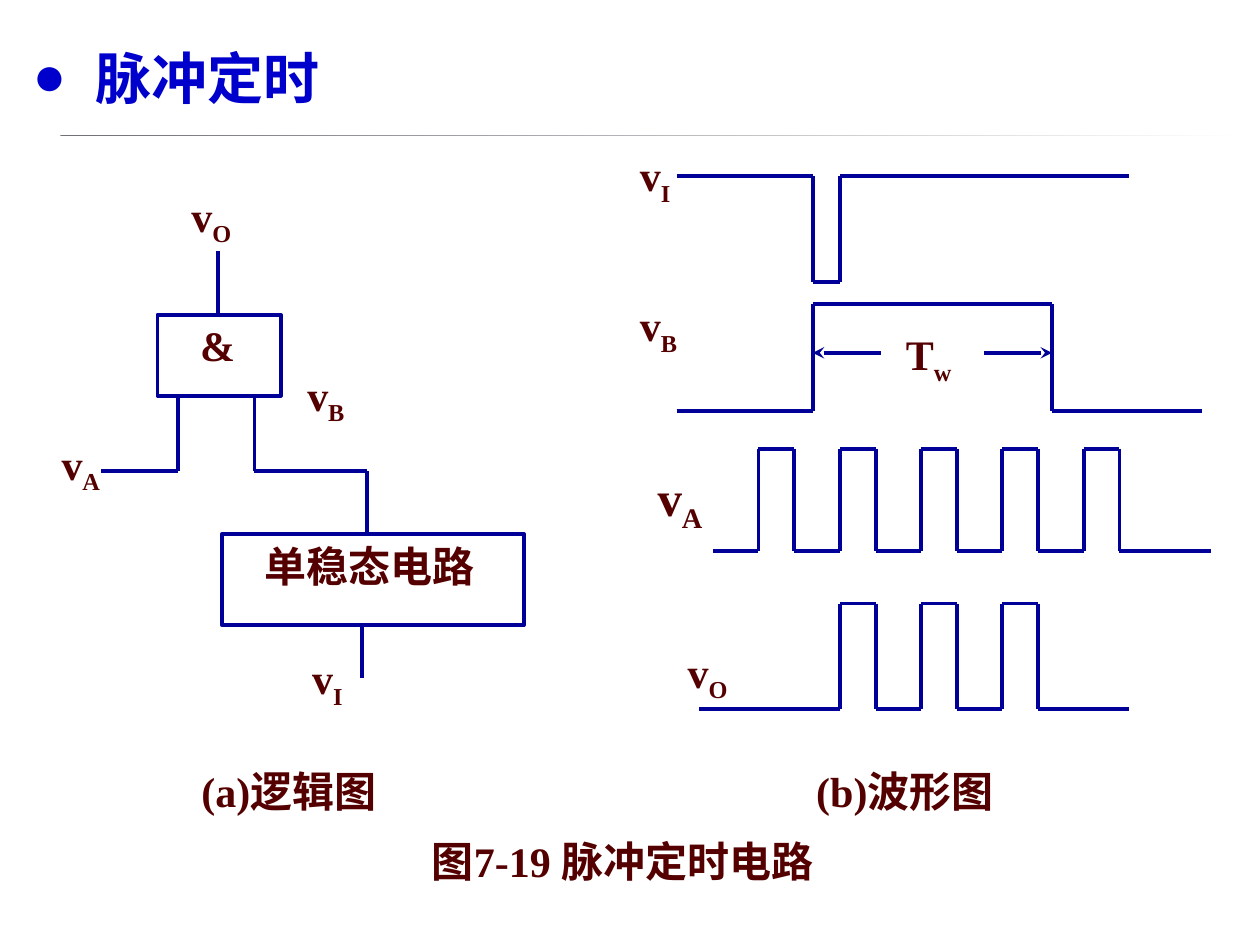
from dataclasses import dataclass
from itertools import pairwise

from lxml import etree
from pptx import Presentation
from pptx import util as u
from pptx.dml.color import RGBColor
from pptx.enum import shapes, text
from pptx.oxml.ns import qn

TITLE_BLUE = RGBColor(0x00, 0x00, 0xCC)
LINE_BLUE = RGBColor(0x00, 0x00, 0x99)
TEXT_BROWN = RGBColor(0x54, 0x00, 0x00)
RULE_GREY = RGBColor(0x70, 0x70, 0x78)
WHITE = RGBColor(0xFF, 0xFF, 0xFF)
LATIN, CHINESE = "Times New Roman", "Noto Sans CJK SC"

WIDTH, HEIGHT = u.Inches(10), u.Inches(7.5)
COLUMN, ROW = WIDTH / 100, HEIGHT / 75

Point = tuple[float, float]


@dataclass(frozen=True)
class Label:
    """Left, top, width and height count grid columns and rows."""
    left: float
    top: float
    width: float
    height: float
    words: str
    subscript: str = ""
    size: int = 24


@dataclass(frozen=True)
class PulseTrain:
    start: float
    first: int
    count: int
    end: float
    high: float
    low: float


CLOCK_START, CLOCK_PERIOD, CLOCK_WIDTH = 60.2, 6.45, 2.85
RISE, FALL = 64.5, 83.5

GATE_BOX = (12.5, 25, 9.8, 6.4)
MONOSTABLE_BOX = (17.6, 42.4, 24, 7.2)

WIRES: list[list[Point]] = [
    [(17.3, 25), (17.3, 19.9)],
    [(14.1, 31.3), (14.1, 37.4), (8, 37.4)],
    [(20.2, 31.3), (20.2, 37.4), (29.1, 37.4), (29.1, 42.4)],
    [(28.7, 49.6), (28.7, 53.8)],
]
WAVES: list[list[Point]] = [
    [(53.7, 14), (RISE, 14), (RISE, 22.4), (66.7, 22.4), (66.7, 14), (89.6, 14)],
    [(53.7, 32.6), (RISE, 32.6), (RISE, 24.1), (FALL, 24.1), (FALL, 32.6), (95.4, 32.6)],
]
TRAINS = [
    PulseTrain(56.6, 0, 5, 96.1, 35.6, 43.7),
    PulseTrain(55.5, 1, 3, 89.6, 47.9, 56.3),
]
WIDTH_ARROWS: list[list[Point]] = [
    [(RISE, 28), (RISE + 5.4, 28)],
    [(FALL, 28), (FALL - 5.4, 28)],
]
LABELS = [
    Label(3.9, 34.3, 13.4, 10.2, "v", "A"),
    Label(23.4, 28.8, 8.9, 6.4, "v", "B"),
    Label(14.2, 14.6, 13.4, 10.2, "v", "O"),
    Label(23.8, 51.3, 13.4, 10.2, "v", "I"),
    Label(14.9, 24.9, 8.9, 6.4, "&"),
    Label(53.6, 50.8, 11.8, 10.2, "v", "O"),
    Label(49.8, 11.4, 11.8, 10.2, "v", "I"),
    Label(49.8, 23.3, 11.8, 10.2, "v", "B"),
    Label(51.2, 36.6, 11.8, 10.2, "v", "A", 28),
    Label(70.9, 25.6, 11.8, 10.2, "T", "w"),
    Label(15, 60.3, 23.1, 5.5, "(a)逻辑图"),
    Label(63.8, 60.3, 19.4, 5.5, "(b)波形图"),
    Label(33.3, 65.8, 39.1, 5.5, "图7-19 脉冲定时电路"),
]


def place(left: float, top: float, width: float, height: float) -> tuple[int, ...]:
    """Turn grid columns and rows into slide lengths."""
    return (round(left * COLUMN), round(top * ROW),
            round(width * COLUMN), round(height * ROW))


def add_span(para, words: str, size: float, color: RGBColor, latin: str = LATIN):
    span = para.add_run()
    span.text = words
    span.font.size = u.Pt(size)
    span.font.bold = True
    span.font.name = latin
    span.font.color.rgb = color
    etree.SubElement(span.font._element, qn("a:ea"), typeface=CHINESE)
    return span


def add_title(page, words: str) -> None:
    title = page.shapes.title
    title.left, title.top, title.width, title.height = place(1.6, 2.1, 90, 6.9)
    frame = title.text_frame
    frame.vertical_anchor = text.MSO_ANCHOR.MIDDLE
    frame.auto_size = text.MSO_AUTO_SIZE.NONE
    para = frame.paragraphs[0]
    para.alignment = text.PP_ALIGN.LEFT
    para.line_spacing = 1.2
    para.space_before, para.space_after = u.Pt(6), u.Pt(3)
    add_span(para, words, 32, TITLE_BLUE, CHINESE)
    settings = para._element.get_or_add_pPr()
    settings.set("marL", str(u.Inches(0.5)))
    settings.set("indent", str(-u.Inches(0.5)))
    etree.SubElement(settings, qn("a:buFont"), typeface=LATIN)
    etree.SubElement(settings, qn("a:buChar"), char="●")


def add_title_rule(page) -> None:
    rule = page.shapes.add_shape(shapes.MSO_SHAPE.RECTANGLE, *place(4.8, 10.7, 94.1, 0.08))
    rule.shadow.inherit = False
    rule.line.fill.background()
    rule.fill.gradient()
    rule.fill.gradient_angle = 0
    for stop, color in zip(rule.fill.gradient_stops, (RULE_GREY, WHITE)):
        stop.color.rgb = color


def add_block(page, area: tuple[float, ...]):
    block = page.shapes.add_shape(shapes.MSO_SHAPE.RECTANGLE, *place(*area))
    block.shadow.inherit = False
    block.fill.background()
    block.line.color.rgb = LINE_BLUE
    block.line.width = u.Pt(2.25)
    return block


def add_trace(page, corners: list[Point], arrow: bool = False) -> None:
    """Join the corners by straight lines, with an arrowhead at each start on request."""
    for start, end in pairwise(corners):
        line = page.shapes.add_connector(
            shapes.MSO_CONNECTOR.STRAIGHT, *place(*start, *end))
        line.line.color.rgb = LINE_BLUE
        line.line.width = u.Pt(2.25)
        properties = line._element.spPr
        if arrow:
            etree.SubElement(properties.find(qn("a:ln")), qn("a:headEnd"), type="stealth")
        etree.SubElement(properties, qn("a:effectLst"))


def train_corners(train: PulseTrain) -> list[Point]:
    corners = [(train.start, train.low)]
    for pulse in range(train.first, train.first + train.count):
        rise = CLOCK_START + pulse * CLOCK_PERIOD
        fall = rise + CLOCK_WIDTH
        corners += [(rise, train.low), (rise, train.high),
                    (fall, train.high), (fall, train.low)]
    return corners + [(train.end, train.low)]


def add_label(page, label: Label) -> None:
    box = page.shapes.add_textbox(*place(label.left, label.top, label.width, label.height))
    box.text_frame.word_wrap = True
    para = box.text_frame.paragraphs[0]
    para.alignment = text.PP_ALIGN.JUSTIFY
    add_span(para, label.words, label.size, TEXT_BROWN)
    if label.subscript:
        span = add_span(para, label.subscript, label.size, TEXT_BROWN)
        span.font._element.set("baseline", "-25000")


def main() -> None:
    deck = Presentation()
    deck.slide_width, deck.slide_height = WIDTH, HEIGHT
    page = deck.slides.add_slide(deck.slide_layouts.get_by_name("Title Only"))
    add_title(page, "脉冲定时")
    add_title_rule(page)

    add_block(page, GATE_BOX)
    frame = add_block(page, MONOSTABLE_BOX).text_frame
    frame.vertical_anchor = text.MSO_ANCHOR.TOP
    frame.margin_left = u.Inches(0.34)
    para = frame.paragraphs[0]
    para.alignment = text.PP_ALIGN.JUSTIFY
    add_span(para, "单稳态电路", 24, TEXT_BROWN)

    for corners in WIRES + WAVES + [train_corners(train) for train in TRAINS]:
        add_trace(page, corners)
    for corners in WIDTH_ARROWS:
        add_trace(page, corners, arrow=True)
    for label in LABELS:
        add_label(page, label)
    deck.save("out.pptx")


if __name__ == "__main__":
    main()
